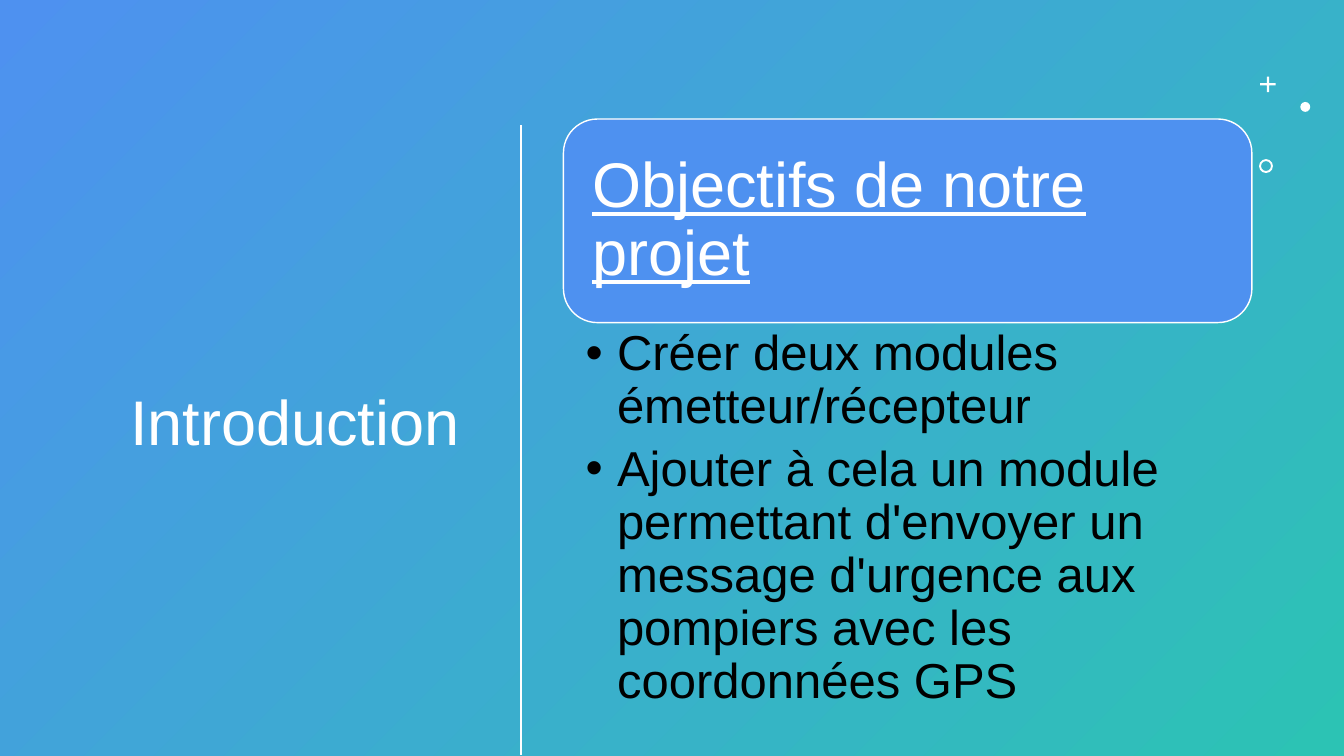
from lxml import etree
from pptx import Presentation
from pptx import util as u
from pptx.dml import color
from pptx.enum import shapes, text
from pptx.oxml import ns

SHAPE = shapes.MSO_SHAPE
ANCHOR = text.MSO_ANCHOR
ALIGN = text.PP_ALIGN
WHITE, BLACK, BLUE, GREEN = "FFFFFF", "000000", "4E91F0", "2CC3B4"
OBJECTIVES = [
    "Créer deux modules émetteur/récepteur",
    "Ajouter à cela\u00a0un module permettant d'envoyer un message d'urgence\u00a0aux pompiers avec les coordonnées GPS",
]


def rgb(value):
    """Return the colour of a hex string."""
    return color.RGBColor.from_string(value)


def apply(target, formats):
    """Set each attribute named in formats on the target."""
    for name, value in formats.items():
        setattr(target, name, value)


def add_shape(slide, kind, box, fill, line=None):
    """Add a flat preset shape in a box given in centimetres."""
    shape = slide.shapes.add_shape(kind, *map(u.Cm, box))
    shape.shadow.inherit = False
    shape.fill.solid()
    shape.fill.fore_color.rgb = rgb(fill)
    if line:
        shape.line.color.rgb = rgb(line)
        shape.line.width = u.Pt(1)
    else:
        shape.line.fill.background()
    return shape


def write(frame, lines, ink, frame_formats, paragraph_formats, font_formats):
    """Fill a text frame with evenly formatted paragraphs."""
    apply(frame, {"word_wrap": True, **frame_formats})
    for index, line in enumerate(lines):
        paragraph = frame.add_paragraph() if index else frame.paragraphs[0]
        apply(paragraph, {"line_spacing": 0.9, **paragraph_formats})
        run = paragraph.add_run()
        run.text = line
        apply(run.font, {"name": "Arial", **font_formats})
        run.font.color.rgb = rgb(ink)


def add_bullet(paragraph, indent):
    """Give a paragraph a round bullet and a hanging indent."""
    properties = paragraph._p.get_or_add_pPr()
    properties.set("marL", str(indent))
    properties.set("indent", str(-indent))
    etree.SubElement(properties, ns.qn("a:buFont")).set("typeface", "Arial")
    etree.SubElement(properties, ns.qn("a:buChar")).set("char", "•")


def draw_backdrop(slide, width, height):
    """Cover the slide with a diagonal gradient."""
    backdrop = add_shape(slide, SHAPE.RECTANGLE, (0, 0, width, height), BLUE)
    backdrop.fill.gradient()
    backdrop.fill.gradient_angle = 315
    for stop, shade in zip(backdrop.fill.gradient_stops, (BLUE, GREEN)):
        stop.color.rgb = rgb(shade)


def draw_title(slide, left, top, width, height):
    """Place the title and the rule to its right."""
    title = slide.shapes.add_textbox(*map(u.Cm, (left, top, width, height)))
    write(title.text_frame, ["Introduction\u00a0"], WHITE,
          {"vertical_anchor": ANCHOR.MIDDLE}, {"alignment": ALIGN.RIGHT},
          {"size": u.Pt(45)})
    rule_x = left + width + 0.86
    rule = slide.shapes.add_connector(
        shapes.MSO_CONNECTOR.STRAIGHT,
        *map(u.Cm, (rule_x, top + 0.2, rule_x, top + 16.08)))
    rule.line.color.rgb = rgb(WHITE)
    rule.line.width = u.Pt(2)
    etree.SubElement(rule._element.spPr, ns.qn("a:effectLst"))


def draw_objectives(slide, left, top, width, height):
    """Place the heading card with the bulleted objectives below it."""
    card_height = 5.13
    card = add_shape(slide, SHAPE.ROUNDED_RECTANGLE,
                     (left, top, width, card_height), BLUE, WHITE)
    margins = ("margin_left", "margin_top", "margin_right", "margin_bottom")
    write(card.text_frame, ["Objectifs de notre projet"], WHITE,
          {"vertical_anchor": ANCHOR.MIDDLE, **dict.fromkeys(margins, u.Cm(0.48))},
          {"alignment": ALIGN.LEFT, "space_after": u.Pt(16)},
          {"size": u.Pt(45), "underline": True})
    goals = slide.shapes.add_textbox(
        *map(u.Cm, (left, top + card_height, width, height - card_height)))
    write(goals.text_frame, OBJECTIVES, BLACK,
          dict(zip(margins, map(u.Cm, (0.56, 0.15, 0.89, 0.15)))),
          {"space_after": u.Pt(7)}, {"size": u.Pt(35)})
    for paragraph in goals.text_frame.paragraphs:
        add_bullet(paragraph, u.Cm(0.79))


def draw_ornaments(slide, left, top):
    """Scatter a plus, a dot and a ring from the given corner."""
    for kind, dx, dy, size, adjustment in (
        (SHAPE.CROSS, 0.03, 0, 0.39, 0.43),
        (SHAPE.OVAL, 1.04, 0.64, 0.25, None),
        (SHAPE.DONUT, 0, 2.08, 0.35, 0.14),
    ):
        ornament = add_shape(slide, kind, (left + dx, top + dy, size, size), WHITE)
        if adjustment:
            ornament.adjustments[0] = adjustment


def main():
    """Build and save the introduction slide."""
    deck = Presentation()
    width, height = 33.87, 19.05
    apply(deck, {"slide_width": u.Cm(width), "slide_height": u.Cm(height)})
    slide = deck.slides.add_slide(deck.slide_layouts[6])
    draw_backdrop(slide, width, height)
    draw_title(slide, 1.32, 2.95, 10.95, 15.52)
    draw_ornaments(slide, 31.73, 1.93)
    draw_objectives(slide, 14.2, 3, 17.35, 15.47)
    deck.save("out.pptx")


if __name__ == "__main__":
    main()
